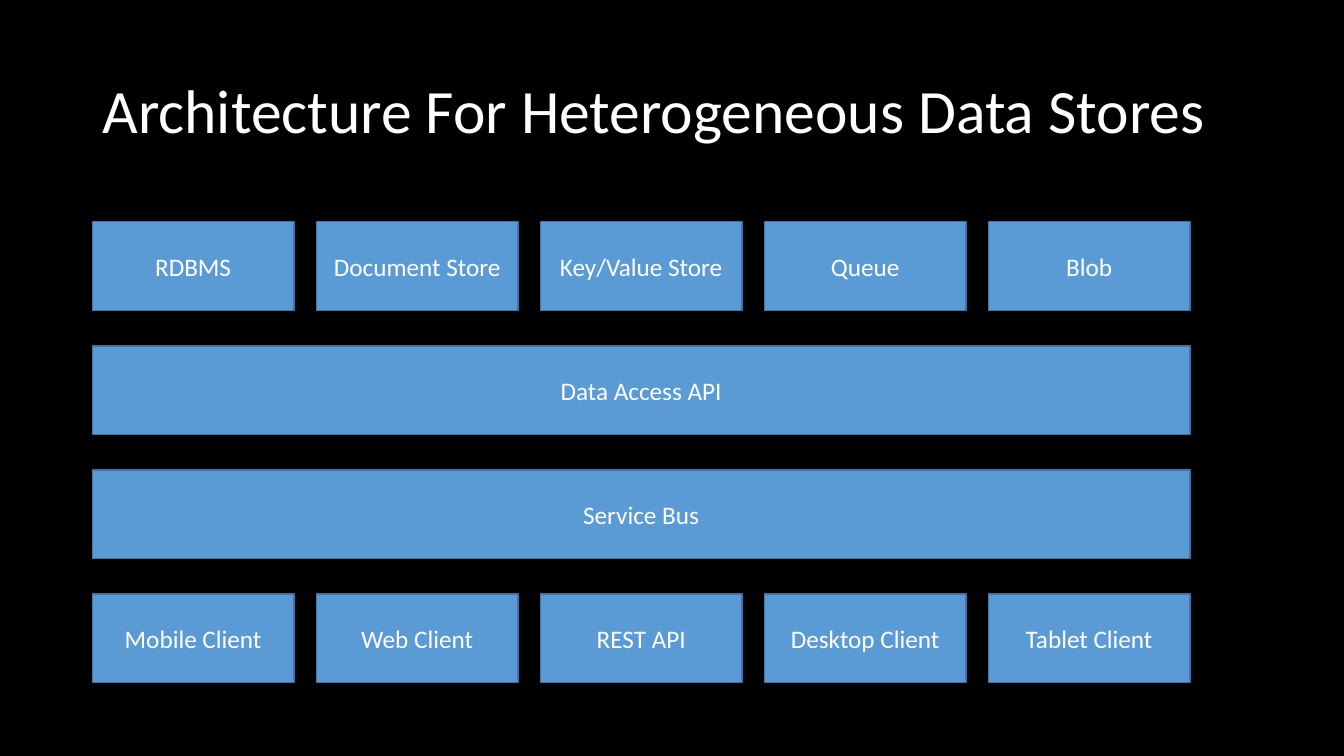
from dataclasses import dataclass

from pptx import Presentation
from pptx.dml.color import RGBColor
from pptx.enum.shapes import MSO_SHAPE
from pptx.enum.text import MSO_ANCHOR, PP_ALIGN
from pptx.slide import Slide
from pptx.text.text import TextFrame
from pptx.util import Pt

RECTANGLE = MSO_SHAPE.RECTANGLE
MIDDLE = MSO_ANCHOR.MIDDLE
LEFT, CENTER = PP_ALIGN.LEFT, PP_ALIGN.CENTER
TITLE_ONLY_LAYOUT = 5


@dataclass(frozen=True)
class Theme:
    background: RGBColor = RGBColor(0x00, 0x00, 0x00)
    text: RGBColor = RGBColor(0xFF, 0xFF, 0xFF)
    box_fill: RGBColor = RGBColor(0x5B, 0x9B, 0xD5)
    box_line: RGBColor = RGBColor(0x43, 0x73, 0x9E)
    font: str = "Calibri"
    title_size: float = 44
    box_size: float = 18


@dataclass(frozen=True)
class Layer:
    labels: tuple[str, ...]
    box_width: float


THEME = Theme()

# Grid, in points
GRID_LEFT, GRID_TOP = 66, 158.4
BOX_WIDTH, BOX_HEIGHT = 144, 63.4
COLUMN_STEP, ROW_STEP = 160, 88.6
FULL_WIDTH = 4 * COLUMN_STEP + BOX_WIDTH

LAYERS = (
    Layer(("RDBMS", "Document Store", "Key/Value Store", "Queue", "Blob"), BOX_WIDTH),
    Layer(("Data Access API",), FULL_WIDTH),
    Layer(("Service Bus",), FULL_WIDTH),
    Layer(("Mobile Client", "Web Client", "REST API", "Desktop Client", "Tablet Client"), BOX_WIDTH),
)


def write_text(frame: TextFrame, text: str, *, size: float,
               alignment: PP_ALIGN = CENTER, line_spacing: float = 1.0) -> None:
    frame.word_wrap = True
    frame.vertical_anchor = MIDDLE
    paragraph = frame.paragraphs[0]
    paragraph.alignment = alignment
    paragraph.line_spacing = line_spacing
    run = paragraph.add_run()
    run.text = text
    run.font.name = THEME.font
    run.font.size = Pt(size)
    run.font.color.rgb = THEME.text


def add_title(slide: Slide, text: str) -> None:
    title = slide.shapes.title
    title.left, title.top = Pt(GRID_LEFT), Pt(28.8)
    title.width, title.height = Pt(828), Pt(104.4)
    write_text(title.text_frame, text, size=THEME.title_size,
               alignment=LEFT, line_spacing=0.9)


def add_box(slide: Slide, label: str, left: float, top: float, width: float) -> None:
    box = slide.shapes.add_shape(RECTANGLE, Pt(left), Pt(top), Pt(width), Pt(BOX_HEIGHT))
    box.shadow.inherit = False
    box.fill.solid()
    box.fill.fore_color.rgb = THEME.box_fill
    box.line.color.rgb = THEME.box_line
    box.line.width = Pt(1)
    write_text(box.text_frame, label, size=THEME.box_size)


def add_layer(slide: Slide, layer: Layer, top: float) -> None:
    for column, label in enumerate(layer.labels):
        add_box(slide, label, GRID_LEFT + column * COLUMN_STEP, top, layer.box_width)


def main() -> None:
    presentation = Presentation()
    presentation.slide_width, presentation.slide_height = Pt(960), Pt(540)
    slide = presentation.slides.add_slide(presentation.slide_layouts[TITLE_ONLY_LAYOUT])

    # Background and title
    slide.background.fill.solid()
    slide.background.fill.fore_color.rgb = THEME.background
    add_title(slide, "Architecture For Heterogeneous Data Stores")

    # Architecture layers, from stores down to clients
    for row, layer in enumerate(LAYERS):
        add_layer(slide, layer, GRID_TOP + row * ROW_STEP)

    presentation.save("out.pptx")


if __name__ == "__main__":
    main()
